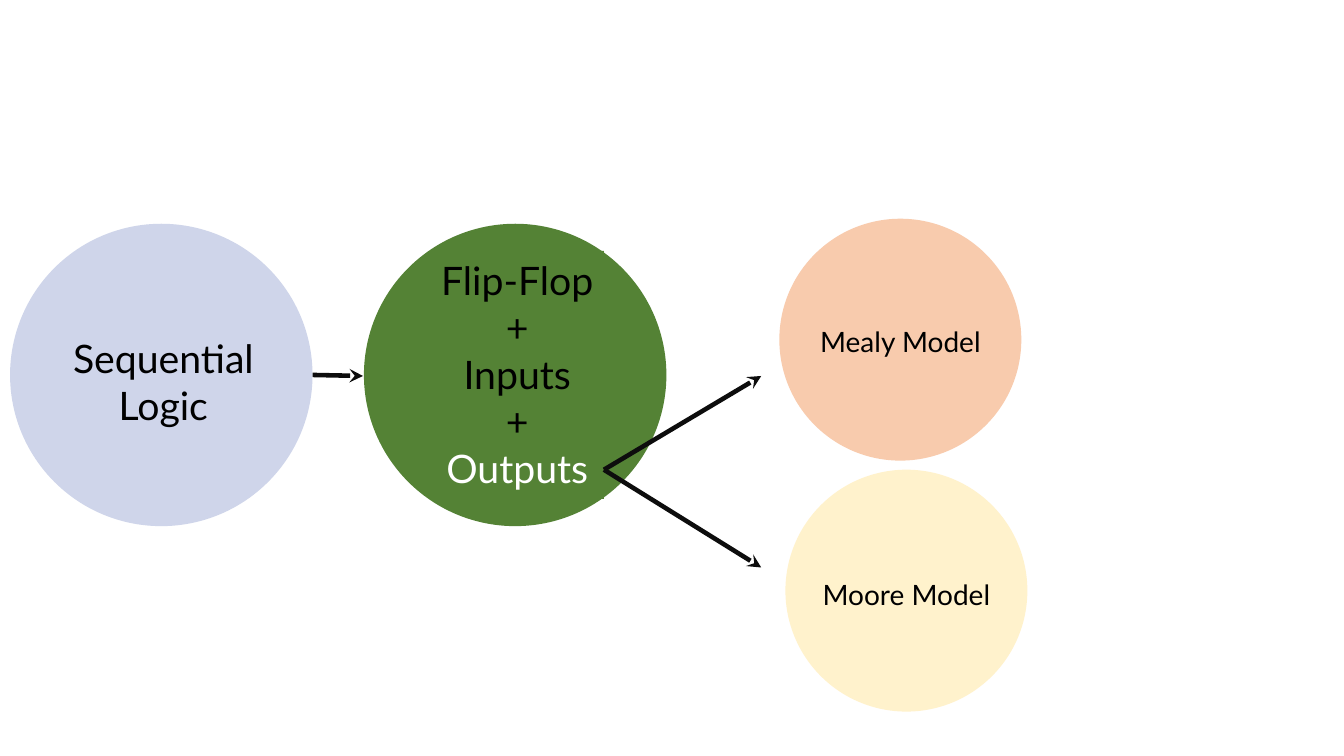
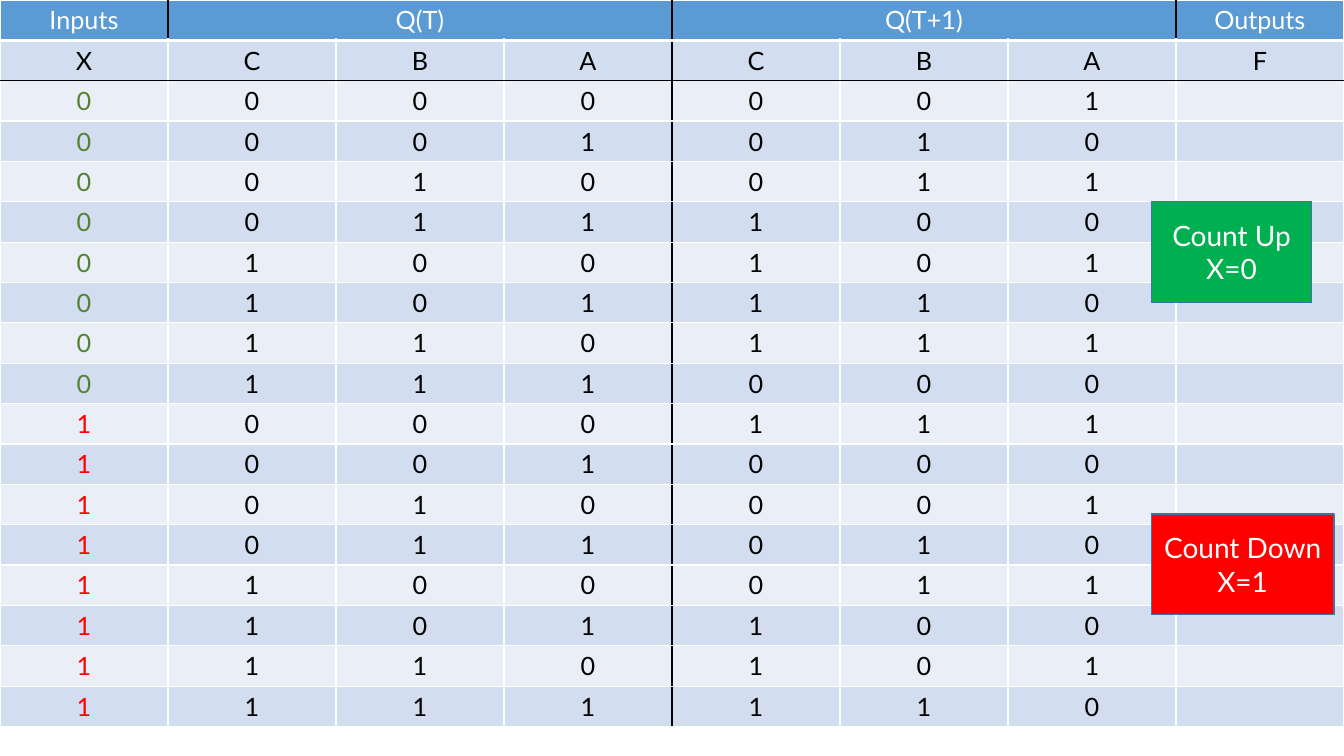
from pptx import Presentation
from pptx import util as u
from pptx.dml.color import RGBColor
from pptx.enum import shapes, text
from pptx.oxml.ns import qn
from lxml import etree

FONT = "Lato"
BLACK, WHITE, INK = "000000", "FFFFFF", "0D0D0D"
GREEN, RED = "548235", "FF0000"
HEAD, BANDS = "5B9BD5", ("D2DEEF", "EAEFF7")
WIDE, HIGH = 13.33, 7.5


def rgb(code):
    return RGBColor.from_string(code)


def inch(*sizes):
    return [u.Inches(size) for size in sizes]


class Deck:
    def __init__(self):
        self.prs = Presentation()
        self.prs.slide_width, self.prs.slide_height = inch(WIDE, HIGH)

    def slide(self):
        self.page = self.prs.slides.add_slide(self.prs.slide_layouts[6]).shapes

    def label(self, frame, lines, size, inks):
        """Fill a frame with centred lines, one colour for each."""
        for i, (line, ink) in enumerate(zip(lines, inks)):
            par = frame.paragraphs[0] if i == 0 else frame.add_paragraph()
            par.text = line
            par.alignment = text.PP_ALIGN.CENTER
            par.font.name, par.font.size = FONT, u.Pt(size)
            par.font.color.rgb = rgb(ink)

    def shape(self, home, kind, box, fill, edge=None):
        item = home.add_shape(kind, *inch(*box))
        item.shadow.inherit = False
        item.fill.solid()
        item.fill.fore_color.rgb = rgb(fill)
        if edge:
            item.line.color.rgb = rgb(edge)
            item.line.width = u.Pt(1)
        else:
            item.line.fill.background()
        return item

    def disc(self, left, top, width, fill, place, lines, size, inks, back=True):
        """Group a circle with its label; back fills the label box too."""
        home = self.page.add_group_shape().shapes
        self.shape(home, shapes.MSO_SHAPE.OVAL, (left, top, width, width), fill)
        box = home.add_textbox(*inch(*place))
        if back:
            box.fill.solid()
            box.fill.fore_color.rgb = rgb(fill)
        box.text_frame.word_wrap = False
        box.text_frame.auto_size = text.MSO_AUTO_SIZE.SHAPE_TO_FIT_TEXT
        self.label(box.text_frame, lines, size, inks)

    def arrow(self, start, end):
        line = self.page.add_connector(
            shapes.MSO_CONNECTOR.STRAIGHT, *inch(*start, *end))
        line.line.color.rgb = rgb(INK)
        line.line.width = u.Pt(3.25)
        props = line._element.spPr
        etree.SubElement(props.find(qn("a:ln")), qn("a:tailEnd"),
                         type="stealth")
        etree.SubElement(props, qn("a:effectLst"))

    def note(self, box, fill, lines):
        item = self.shape(self.page, shapes.MSO_SHAPE.RECTANGLE, box, fill,
                          "43739E")
        item.text_frame.vertical_anchor = text.MSO_ANCHOR.MIDDLE
        self.label(item.text_frame, lines, 20, [WHITE] * len(lines))

    def border(self, cell, side, ink, width):
        line = etree.SubElement(cell._tc.get_or_add_tcPr(), qn("a:ln" + side),
                                w=str(u.Pt(width)))
        fill = etree.SubElement(line, qn("a:solidFill"))
        etree.SubElement(fill, qn("a:srgbClr"), val=ink)

    def cell(self, cell, word, ink, fill, edges):
        """Style a table cell; edges maps a side to its colour and width."""
        for side, (tone, width) in edges.items():
            self.border(cell, side, tone, width)
        cell.fill.solid()
        cell.fill.fore_color.rgb = rgb(fill)
        self.label(cell.text_frame, [word], 18, [ink])

    def table(self, rows, spans, tint):
        """Draw rows; spans gives the width of each wide header cell."""
        deep, cols = len(rows), len(rows[0])
        grid = self.page.add_table(
            deep, cols, *inch(0, 0, WIDE, 0.4 * deep)).table
        grid.horz_banding = False
        for col in grid.columns:
            col.width = u.Inches(WIDE / cols)

        def upright(r, c):
            dark = c == 4 or (r == 0 and c in (1, 7))
            return (BLACK if dark else WHITE), 1

        def level(r):
            return (BLACK if r == 2 else WHITE), (3 if r == 1 else 1)

        for r, row in enumerate(rows):
            for c, word in enumerate(row):
                span = spans.get(c, 1) if r == 0 else 1
                edges = {"L": upright(r, c), "R": upright(r, c + span),
                         "T": level(r), "B": level(r + 1)}
                fill = BANDS[(r + 1) % 2] if r else HEAD
                self.cell(grid.cell(r, c), word, tint(r, c), fill, edges)
        for c, span in spans.items():
            grid.cell(0, c).merge(grid.cell(0, c + span - 1))


def states():
    """List each input and state with the state that follows it."""
    for x, step in ((0, 1), (1, -1)):
        for now in range(8):
            then = (now + step) % 8
            yield [*f"{x}{now:03b}{then:03b}", ""]


def tint(r, c):
    if r == 0:
        return WHITE
    if r == 1 or c:
        return BLACK
    return GREEN if r < 10 else RED


def main():
    deck = Deck()

    deck.slide()
    deck.disc(0.1, 2.22, 3, "CFD5EA", (0.61, 3.27, 2.02, 1.04),
              ["Sequential", "Logic"], 28, [BLACK] * 2, back=False)
    deck.disc(3.61, 2.22, 3, GREEN, (4.27, 2.49, 1.72, 2.46),
              ["Flip-Flop", "+", "Inputs", "+", "Outputs"], 28,
              [BLACK] * 4 + [WHITE])
    deck.disc(7.73, 2.17, 2.4, "F8CBAD", (8.02, 3.17, 1.82, 0.44),
              ["Mealy Model"], 20, [BLACK])
    deck.disc(7.79, 4.66, 2.4, "FFF2CC", (8.04, 5.68, 1.9, 0.44),
              ["Moore Model"], 20, [BLACK])
    deck.arrow((3.1, 3.72), (3.6, 3.73))
    for end in (3.73, 5.63):
        deck.arrow((5.99, 4.66), (7.55, end))

    deck.slide()
    heads = [["Inputs", "Q(T)", "", "", "Q(T+1)", "", "", "Outputs"],
             [*"XCBACBAF"]]
    deck.table(heads + list(states()), {1: 3, 4: 3}, tint)
    deck.note((11.42, 2, 1.59, 1), "00B050", ["Count Up", "X=0"])
    deck.note((11.42, 5.1, 1.81, 1), RED, ["Count Down", "X=1"])

    deck.prs.save("out.pptx")


if __name__ == "__main__":
    main()
